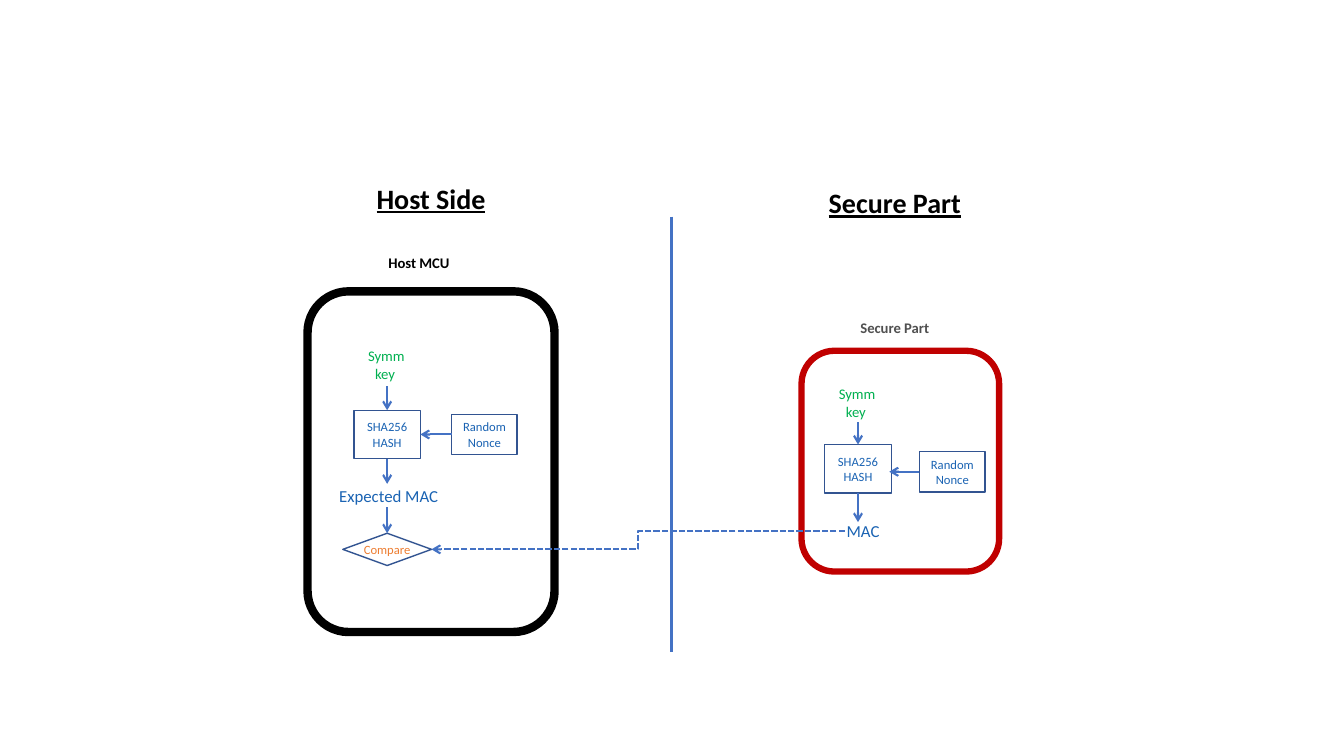
import dataclasses

import pptx
import pptx.dml.color
import pptx.enum.dml
import pptx.enum.shapes
import pptx.enum.text
import pptx.oxml
import pptx.oxml.ns
import pptx.util

SCALE = 9144  # EMU per px, 100 px to the inch
SHAPE = pptx.enum.shapes.MSO_SHAPE
WIRE = pptx.enum.shapes.MSO_CONNECTOR
ALIGN = pptx.enum.text.PP_ALIGN
TOP, LEFT, BOTTOM, RIGHT = range(4)


@dataclasses.dataclass(frozen=True)
class Theme:
    font: str = "Calibri"
    black: str = "000000"
    red: str = "C00000"
    gray: str = "505050"
    green: str = "00B050"
    blue: str = "1A63B3"
    orange: str = "ED7D31"
    edge: str = "325491"
    wire: str = "4472C4"
    title: float = 20
    mac: float = 12
    label: float = 10.5
    small: float = 9


THEME = Theme()


def px(*sizes):
    return [pptx.util.Emu(size * SCALE) for size in sizes]


def rgb(color):
    return pptx.dml.color.RGBColor.from_string(color)


def write(frame, lines, size, color, bold=False, under=False, dents=None):
    """Set one paragraph a line, centred unless left indents are given."""
    for i, line in enumerate(lines):
        para = frame.paragraphs[0] if i == 0 else frame.add_paragraph()
        if dents:
            para.alignment = ALIGN.LEFT
            para._p.get_or_add_pPr().set("marL", str(dents[i] * SCALE))
        else:
            para.alignment = ALIGN.CENTER
        run = para.add_run()
        run.text = line
        font = run.font
        font.name, font.size = THEME.font, pptx.util.Pt(size)
        font.color.rgb = rgb(color)
        font.bold, font.underline = bold, under


def trim(frame):
    """Remove the inner margins."""
    frame.margin_left = frame.margin_right = 0
    frame.margin_top = frame.margin_bottom = 0


def add_label(slide, place, lines, size, color, **style):
    frame = slide.shapes.add_textbox(*px(*place)).text_frame
    frame.word_wrap = True
    frame.auto_size = pptx.enum.text.MSO_AUTO_SIZE.SHAPE_TO_FIT_TEXT
    if "dents" in style:
        trim(frame)
    write(frame, lines, size, color, **style)


def add_frame(slide, kind, place, color, width):
    """Draw an unfilled outline."""
    shape = slide.shapes.add_shape(kind, *px(*place))
    shape.shadow.inherit = False
    shape.fill.background()
    shape.line.color.rgb = rgb(color)
    shape.line.width = pptx.util.Pt(width)
    return shape


def add_block(slide, place, lines):
    block = add_frame(slide, SHAPE.RECTANGLE, place, THEME.edge, 1)
    frame = block.text_frame
    trim(frame)
    frame.word_wrap = True
    frame.vertical_anchor = pptx.enum.text.MSO_ANCHOR.MIDDLE
    write(frame, lines, THEME.small, THEME.blue)
    return block


def add_wire(slide, start, end, head=True, kind=WIRE.STRAIGHT,
             dash=False, source=None, target=None):
    """Draw a line; source and target are (shape, side) pairs to join."""
    wire = slide.shapes.add_connector(kind, *px(*start, *end))
    if source:
        wire.begin_connect(*source)
    if target:
        wire.end_connect(*target)
    wire.line.color.rgb = rgb(THEME.wire)
    wire.line.width = pptx.util.Pt(1.5)
    if dash:
        wire.line.dash_style = pptx.enum.dml.MSO_LINE.SQUARE_DOT
    if head:
        tail = pptx.oxml.parse_xml(
            f'<a:tailEnd {pptx.oxml.ns.nsdecls("a")} type="arrow"/>')
        wire.line._get_or_add_ln().append(tail)
    wire._element.spPr.append(pptx.oxml.parse_xml(
        f'<a:effectLst {pptx.oxml.ns.nsdecls("a")}/>'))


def add_hash(slide, left, top, nonce, key, feed, drop, join):
    """Draw the hash with its key, nonce and arrows."""
    block = add_block(slide, (left, top, 66, 48), ["SHA256", "HASH"])
    x, y = left + 33, nonce[1] + 20
    random = add_block(slide, (*nonce, 65, 40), ["Random", "Nonce"])
    add_label(slide, key, ["Symm", "key"], THEME.label, THEME.green,
              dents=(6, 13))
    add_wire(slide, (x, feed), (x, top), target=(block, TOP))
    add_wire(slide, (x, top + 48), (x, drop), source=(block, BOTTOM))
    add_wire(slide, (nonce[0], y), (left + 64, y), source=(random, LEFT),
             target=(block, RIGHT) if join else None)


def main():
    deck = pptx.Presentation()
    deck.slide_width, deck.slide_height = px(1333, 750)
    slide = deck.slides.add_slide(deck.slide_layouts[6])

    add_frame(slide, SHAPE.ROUNDED_RECTANGLE, (305, 289, 245, 338),
              THEME.black, 6)
    add_frame(slide, SHAPE.ROUNDED_RECTANGLE, (795, 348, 196, 219),
              THEME.red, 4.5)
    add_wire(slide, (666, 215), (666, 647), head=False)
    for left, top, title in ((290, 175, "Host Side"),
                             (750, 179, "Secure Part")):
        add_label(slide, (left, top, 275, 44), [title], THEME.title,
                  THEME.black, bold=True, under=True)
    for place, name, color in (
            ((351, 247, 129, 28), "Host MCU", THEME.black),
            ((817, 311, 141, 28), "Secure Part", THEME.gray)):
        add_label(slide, place, [name], THEME.label, color, bold=True)

    add_hash(slide, 351, 407, nonce=(448, 411), key=(359, 344, 58, 37),
             feed=383, drop=480, join=True)
    add_hash(slide, 818, 441, nonce=(912, 448), key=(826, 382, 53, 53),
             feed=419, drop=518, join=False)

    for place, name in (((325, 477, 121, 30), "Expected MAC"),
                        ((820, 512, 72, 30), "MAC")):
        add_label(slide, place, [name], THEME.mac, THEME.blue)
    check = add_frame(slide, SHAPE.DIAMOND, (340, 529, 88, 32),
                      THEME.edge, 1)
    add_label(slide, (336, 533, 96, 25), ["Compare"], THEME.small,
              THEME.orange)
    add_wire(slide, (384, 503), (384, 529), target=(check, TOP))
    add_wire(slide, (838, 527), (428, 545), kind=WIRE.ELBOW, dash=True,
             target=(check, RIGHT))
    deck.save("out.pptx")


if __name__ == "__main__":
    main()
